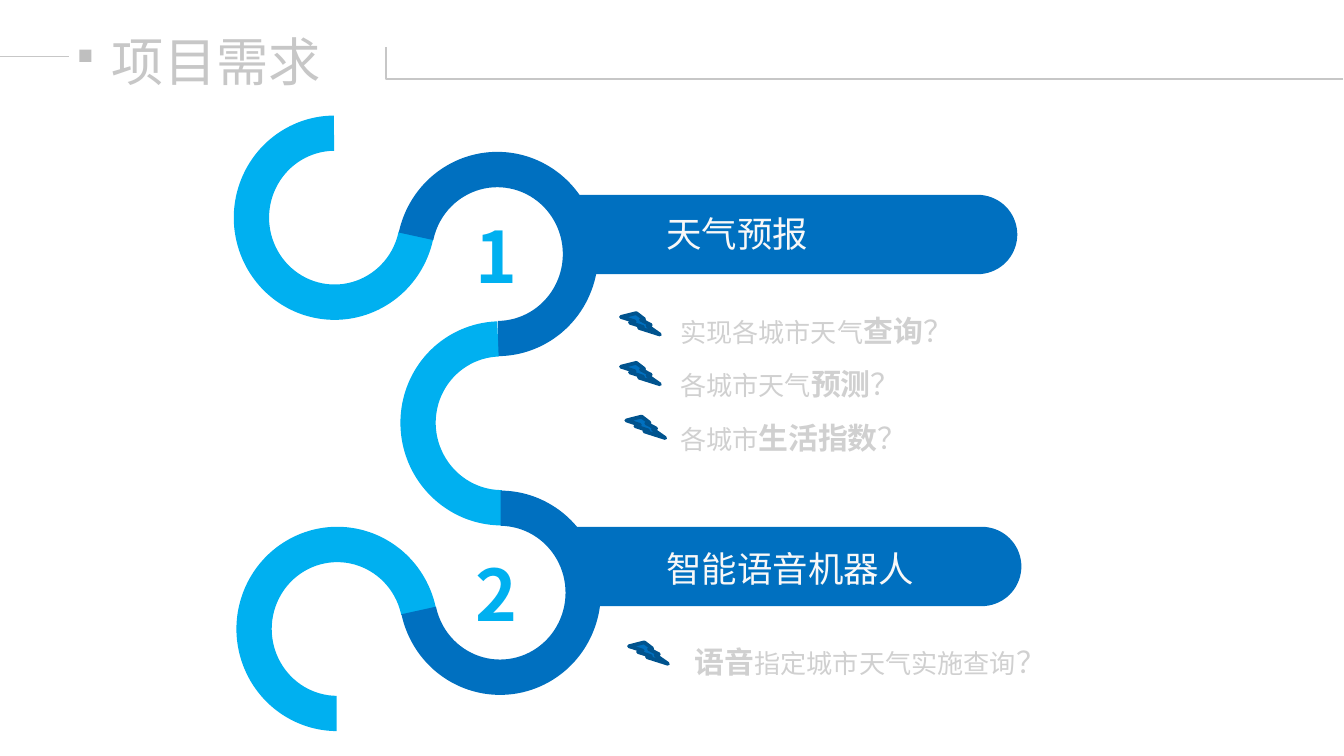
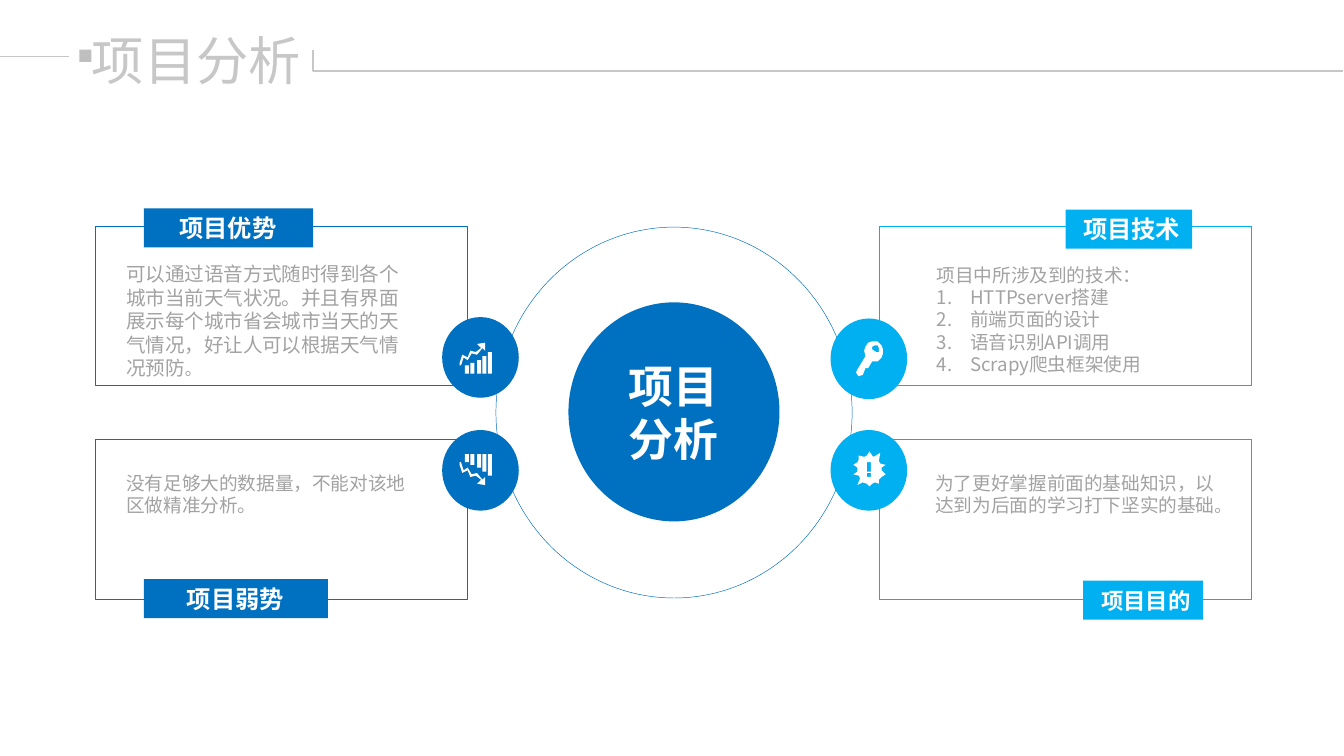
import math
import lxml.etree
import pptx
import pptx.dml.color
import pptx.enum.shapes
import pptx.enum.text
import pptx.oxml.ns
import pptx.util

Inches, Pt = pptx.util.Inches, pptx.util.Pt
MSO = pptx.enum.shapes.MSO_SHAPE
ALIGN = pptx.enum.text.PP_ALIGN
ANCHOR = pptx.enum.text.MSO_ANCHOR
FIT = pptx.enum.text.MSO_AUTO_SIZE
RGB = pptx.dml.color.RGBColor.from_string
qn = pptx.oxml.ns.qn

FONT = "Noto Sans CJK SC"
COLORS = {
    "blue": "0070C0", "sky": "00B0F0", "navy": "00538E", "white": "FFFFFF",
    "offwhite": "F8F8F8", "title": "C7C7C7", "square": "BFBFBF",
    "list": "D0D0D0", "body": "A2A2A2",
}
MIDDLE = {"vertical_anchor": ANCHOR.MIDDLE}
TITLE = {**MIDDLE, "margin_top": Inches(0.1)}
GROW = {"auto_size": FIT.SHAPE_TO_FIT_TEXT}
NOWRAP = {**GROW, "word_wrap": False}
NOTE = {
    **GROW, "margin_left": Inches(0.08), "margin_right": Inches(0.08),
    "margin_top": Inches(0.04), "margin_bottom": Inches(0.04),
}
CENTER = {"alignment": ALIGN.CENTER}
LIST = {"line_spacing": 1.5}


def draw(s, kind, at, fill=None, line=None, width=1):
    if isinstance(kind, list):
        contours = [[(Inches(x), Inches(y)) for x, y in pts] for pts in kind]
        fb = s.shapes.build_freeform(*contours[0][0], scale=1.0)
        for pts in contours:
            if pts is not contours[0]:
                fb.move_to(*pts[0])
            fb.add_line_segments(pts[1:], close=fill is not None)
        sp = fb.convert_to_shape()
    else:
        sp = s.shapes.add_shape(kind, *map(Inches, at))
    sp.shadow.inherit = False
    if fill:
        sp.fill.solid()
        sp.fill.fore_color.rgb = RGB(COLORS[fill])
    else:
        sp.fill.background()
    if line:
        sp.line.color.rgb = RGB(COLORS[line])
        sp.line.width = Pt(width)
    else:
        sp.line.fill.background()
    return sp


def write(sp, paras, size, color, frame, para, bold=False, numbered=()):
    tf = sp.text_frame
    defaults = {
        "word_wrap": True, "auto_size": FIT.NONE, "vertical_anchor": ANCHOR.TOP,
        "margin_left": Inches(0.09), "margin_right": Inches(0.09),
        "margin_top": Inches(0.05), "margin_bottom": Inches(0.05),
    }
    for key, value in {**defaults, **frame}.items():
        setattr(tf, key, value)
    for i, runs in enumerate(paras):
        p = tf.paragraphs[0] if i == 0 else tf.add_paragraph()
        pPr = p._p.get_or_add_pPr()
        indent = Inches(0.25) if i in numbered else 0
        pPr.set("marL", str(indent))
        pPr.set("indent", str(-indent))
        if i in numbered:
            lxml.etree.SubElement(pPr, qn("a:buAutoNum")).set("type", "arabicPeriod")
        else:
            lxml.etree.SubElement(pPr, qn("a:buNone"))
        for key, value in {"alignment": ALIGN.LEFT, "space_before": Pt(0), **para}.items():
            setattr(p, key, value)
        for text, fmt in runs:
            r = p.add_run()
            r.text = text
            r.font.color.rgb = RGB(COLORS[color])
            for key, value in {"name": FONT, "size": Pt(size), "bold": bold, **fmt}.items():
                setattr(r.font, key, value)
            lxml.etree.SubElement(r._r.get_or_add_rPr(), qn("a:ea")).set("typeface", FONT)


prs = pptx.Presentation()
prs.slide_width, prs.slide_height = Inches(10), Pt(405)

slides = []
for title, at, bracket in [
    ("项目需求", (0.51, 0.17, 2.2, 0.51), (2.87, 0.35, 0.59)),
    ("项目分析", (0.55, 0.16, 1.82, 0.51), (2.33, 0.37, 0.53)),
]:
    s = prs.slides.add_slide(prs.slide_layouts[1])
    sp = s.shapes.title
    sp.left, sp.top, sp.width, sp.height = map(Inches, at)
    write(sp, [[(title, {})]], 28, "title", TITLE, CENTER)
    x, top, bottom = bracket
    draw(s, [[(9.99, bottom), (x, bottom), (x, top)]], None, line="title")
    cxn = s.shapes.add_connector(pptx.enum.shapes.MSO_CONNECTOR.STRAIGHT,
                                 0, Inches(0.42), Inches(0.51), Inches(0.42))
    cxn.line.color.rgb = RGB(COLORS["title"])
    cxn.line.width = Pt(0.75)
    lxml.etree.SubElement(cxn._element.spPr, qn("a:effectLst"))
    draw(s, MSO.RECTANGLE, (0.59, 0.37, 0.09, 0.09), "square")
    slides.append(s)
needs, analysis = slides

for x, y in [(4.24, 3.92), (4.21, 1.45)]:
    radius = 0.59 / 2
    angles = [math.radians(a) for a in range(-90, 91, 5)]
    cap = [(x + 3.36 - radius + radius * math.cos(a), y + radius + radius * math.sin(a)) for a in angles]
    draw(needs, [[(x, y), *cap, (x, y + 2 * radius)]], None, "blue")

for at, color, rotation, flipped, start in [
    ((1.74, 0.86, 1.5, 1.52), "sky", 0, True, 54.24),
    ((2.95, 1.13, 1.5, 1.52), "blue", 180, True, 54.24),
    ((2.97, 2.4, 1.52, 1.5), "sky", 77.2, True, 101.69),
    ((1.76, 3.92, 1.5, 1.52), "sky", 0, False, 54.24),
    ((2.97, 3.65, 1.5, 1.52), "blue", 180, False, 54.24),
]:
    sp = draw(needs, MSO.BLOCK_ARC, at, color)
    sp.rotation = rotation
    if flipped:
        sp._element.spPr.xfrm.set("flipV", "1")
    for i, value in enumerate([start, 208.61, 0.35 / 2]):
        sp.adjustments[i] = value

for text, at, size, color, bold in [
    ("天气预报", (4.87, 1.53, 1.26, 0.42), 19, "offwhite", False),
    ("智能语音机器人", (4.87, 4.02, 2.06, 0.42), 19, "offwhite", False),
    ("1", (3.45, 1.53, 0.48, 0.71), 38, "sky", True),
    ("2", (3.45, 4.05, 0.48, 0.71), 38, "sky", True),
]:
    sp = needs.shapes.add_textbox(*map(Inches, at))
    write(sp, [[(text, {})]], size, color, NOWRAP, {}, bold)

strong, large = {"size": Pt(16), "bold": True}, {"size": Pt(16)}
sp = needs.placeholders[1]
sp.left, sp.top, sp.width, sp.height = map(Inches, (4.97, 2.14, 4.37, 1.31))
write(sp, [
    [(lead, {}), (key, strong), ("？", large)]
    for lead, key in [("实现各城市天气", "查询"), ("各城市天气", "预测"), ("各城市", "生活指数")]
], 14, "list", GROW, LIST)
sp = needs.shapes.add_textbox(*map(Inches, (5.08, 4.61, 4.44, 0.5)))
write(sp, [[("语音", strong), ("指定城市天气实施查询", {}), ("？", large)]], 14, "list", GROW, LIST)

for x, y in [(4.62, 2.33), (4.62, 2.7), (4.66, 3.1), (4.68, 4.78)]:
    draw(needs, MSO.LIGHTNING_BOLT, (x, y, 0.29, 0.16), "blue", "navy", 2)

draw(analysis, MSO.OVAL, (3.69, 1.69, 2.65, 2.76), None, "blue", 0.25)
draw(analysis, MSO.OVAL, (4.23, 2.25, 1.57, 1.63), "blue")
for x, color in [(0.71, "blue"), (6.54, "sky")]:
    for y in (1.68, 3.27):
        draw(analysis, MSO.RECTANGLE, (x, y, 2.77, 1.19), None, color, 0.25)

growth = [[
    (3.51, 2.63), (3.55, 2.64), (3.59, 2.59), (3.61, 2.61), (3.61, 2.55), (3.55, 2.56),
    (3.58, 2.59), (3.54, 2.62), (3.5, 2.61), (3.48, 2.66), (3.44, 2.64), (3.42, 2.7),
    (3.42, 2.72), (3.43, 2.72), (3.45, 2.66), (3.48, 2.68),
]]
for x, y in [(3.46, 2.72), (3.5, 2.7), (3.55, 2.68), (3.59, 2.65), (3.63, 2.62)]:
    growth.append([(x, y), (x + 0.03, y), (x + 0.03, 2.78), (x, 2.78)])
decline = [[(x, 6.16 - y) for x, y in pts] for pts in growth]
key = [
    [(6.57, 2.6), (6.56, 2.57), (6.53, 2.54), (6.49, 2.54), (6.46, 2.55), (6.44, 2.58),
     (6.43, 2.61), (6.44, 2.65), (6.38, 2.75), (6.37, 2.77), (6.38, 2.79), (6.39, 2.8),
     (6.42, 2.79), (6.44, 2.74), (6.46, 2.74), (6.49, 2.69), (6.53, 2.69), (6.56, 2.66),
     (6.57, 2.63)],
    [(6.54, 2.62), (6.52, 2.62), (6.49, 2.6), (6.49, 2.58), (6.51, 2.57), (6.53, 2.57),
     (6.54, 2.59)],
]
alert = [
    [(6.59, 3.53), (6.56, 3.5), (6.56, 3.48), (6.59, 3.46), (6.55, 3.45), (6.54, 3.43),
     (6.55, 3.37), (6.5, 3.4), (6.49, 3.39), (6.47, 3.36), (6.45, 3.39), (6.43, 3.4),
     (6.39, 3.39), (6.39, 3.42), (6.38, 3.44), (6.35, 3.46), (6.38, 3.48), (6.38, 3.51),
     (6.35, 3.53), (6.39, 3.54), (6.4, 3.56), (6.38, 3.61), (6.42, 3.59), (6.45, 3.6),
     (6.47, 3.62), (6.49, 3.6), (6.51, 3.59), (6.54, 3.6), (6.54, 3.57), (6.56, 3.55)],
    [(6.45, 3.44), (6.48, 3.44), (6.48, 3.51), (6.45, 3.51)],
    [(6.45, 3.52), (6.48, 3.52), (6.48, 3.55), (6.45, 3.55)],
]
for x, y, color, icon in [
    (3.29, 2.36, "blue", growth), (3.29, 3.2, "blue", decline),
    (6.18, 3.2, "sky", alert), (6.18, 2.37, "sky", key),
]:
    draw(analysis, MSO.OVAL, (x, y, 0.57, 0.6), color)
    draw(analysis, icon, None, "white")

sp = analysis.placeholders[1]
sp.left, sp.top, sp.width, sp.height = map(Inches, (6.89, 1.92, 2.25, 0.85))
techs = ["项目中所涉及到的技术：", "HTTPserver搭建", "前端页面的设计", "语音识别API调用", "Scrapy爬虫框架使用"]
write(sp, [[(text, {})] for text in techs], 10, "body", NOTE, {}, numbered=range(1, 5))

stop = ("。", {"size": Pt(9)})
for at, size, runs in [
    ((6.88, 3.47, 2.25, 0.55), 10, [("为了更好掌握前面的基础知识，以达到为后面的学习打下坚实的基础", {}), stop]),
    ((0.86, 1.91, 2.25, 0.85), 10.5, [("可以通过语音方式随时得到各个城市当前天气状况。并且有界面展示每个城市省会城市当天的天气情况，好让人可以根据天气情况预防", {}), stop]),
    ((0.86, 3.47, 2.25, 0.39), 10, [("没有足够大的数据量，不能对该地区做精准分析。", {})]),
]:
    sp = analysis.shapes.add_textbox(*map(Inches, at))
    write(sp, [runs], size, "body", NOTE, {})

for text, at, color, size, align, right in [
    ("项目优势", (1.07, 1.55, 1.26, 0.29), "blue", 13, ALIGN.CENTER, 0.1),
    ("项目技术", (7.93, 1.56, 0.94, 0.29), "sky", 13, ALIGN.RIGHT, 0.09),
    ("项目目的", (8.06, 4.32, 0.89, 0.29), "sky", 12, ALIGN.RIGHT, 0.09),
    ("项目弱势", (1.07, 4.31, 1.37, 0.29), "blue", 13, ALIGN.CENTER, 0.1),
]:
    sp = draw(analysis, MSO.RECTANGLE, at, color)
    write(sp, [[(text, {})]], size, "white", {**MIDDLE, "margin_right": Inches(right)},
          {"alignment": align}, True)

sp = analysis.shapes.add_textbox(*map(Inches, (4.33, 2.64, 1.36, 0.85)))
write(sp, [[("项目", {})], [("分析", {})]], 24, "white", MIDDLE, CENTER, True)

prs.save("out.pptx")
